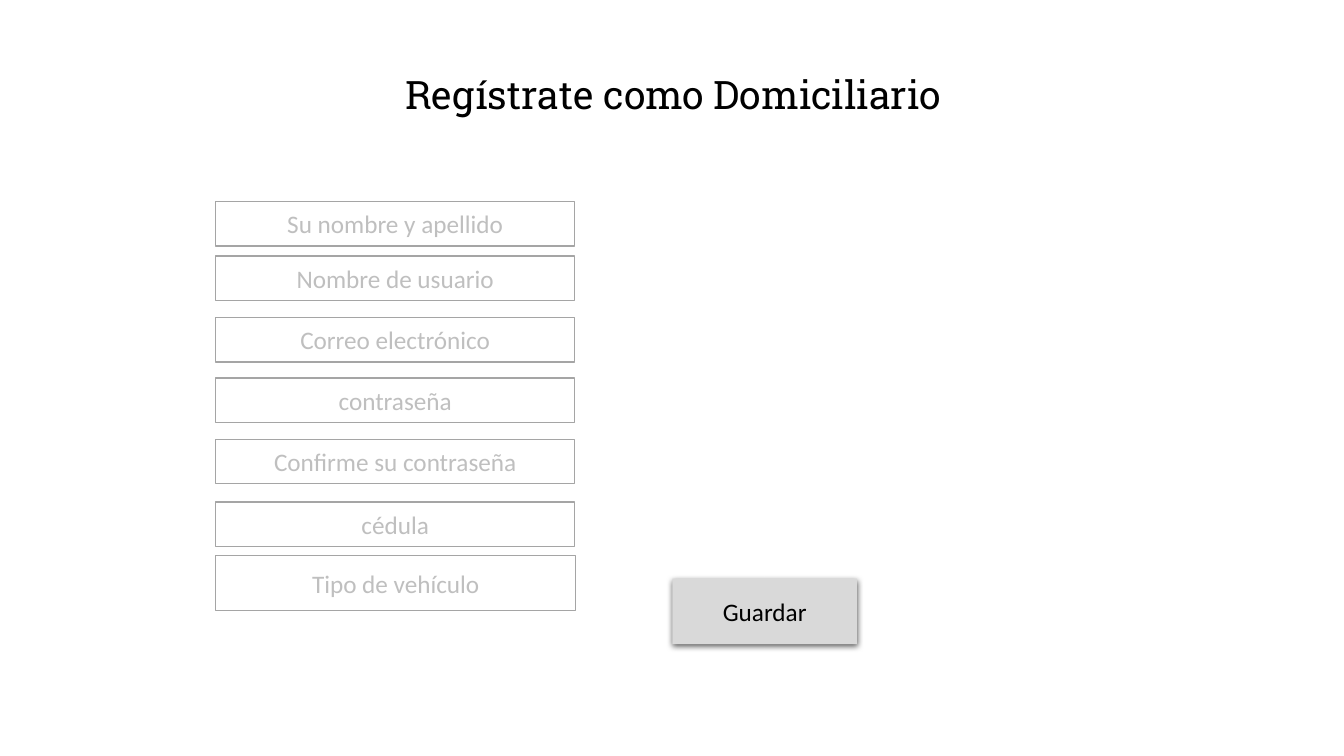
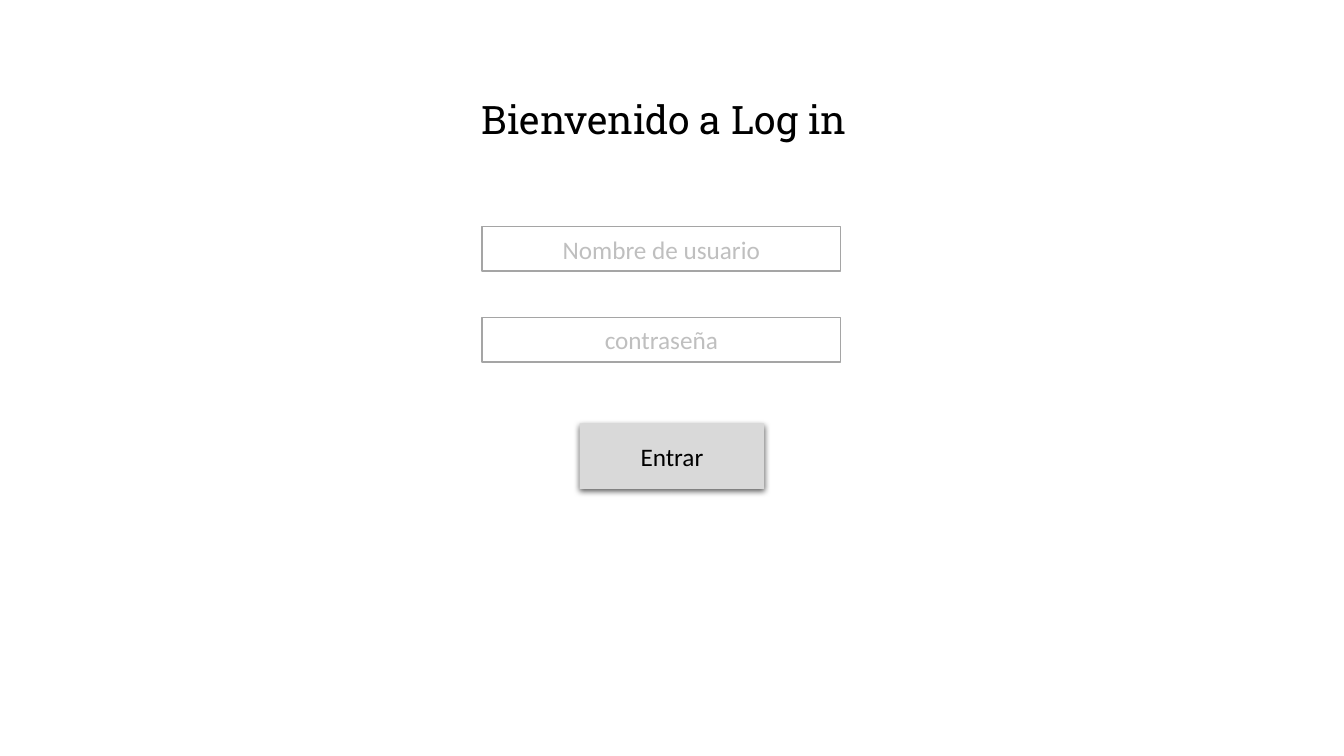
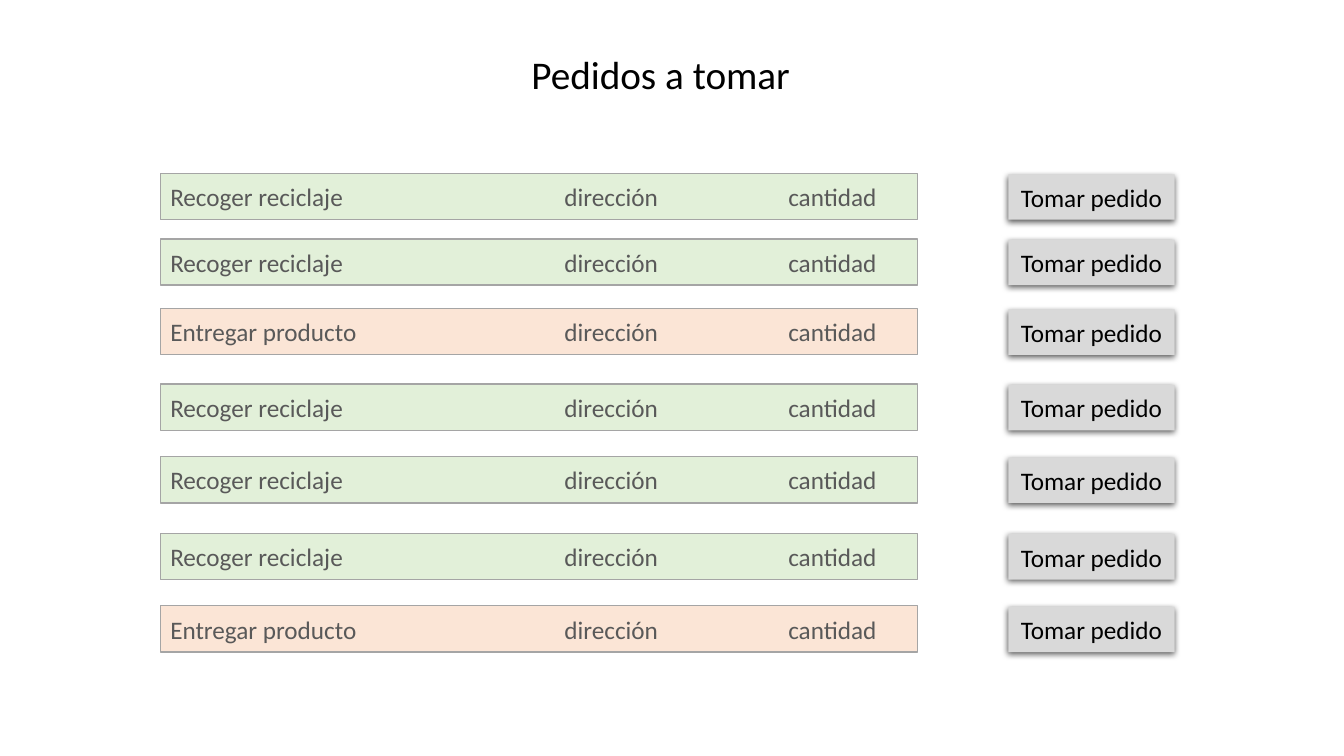
from lxml.etree import SubElement
from pptx import Presentation
from pptx.dml.color import RGBColor
from pptx.enum.shapes import MSO_SHAPE
from pptx.enum.text import MSO_ANCHOR, PP_ALIGN
from pptx.oxml.ns import qn
from pptx.util import Inches, Pt

COLORS = {
    "black": "000000",
    "white": "FFFFFF",
    "border": "A5A5A5",
    "hint": "BFBFBF",
    "button": "D9D9D9",
    "order_text": "595959",
    "pickup": "E2F0D9",
    "delivery": "FBE5D6",
}
BODY_FONT = "Calibri"
TITLE_FONT = "Roboto Slab"
FIELD_SIZE = (3.56, 0.44)
BUTTON_SIZE = (1.83, 0.65)

presentation = Presentation()
presentation.slide_width = Inches(13.33)
presentation.slide_height = Inches(7.5)


def add_titled_slide(title, left, top, width, font_name=TITLE_FONT):
    slide = presentation.slides.add_slide(presentation.slide_layouts[5])
    shape = slide.shapes.title
    shape.left, shape.top = Inches(left), Inches(top)
    shape.width, shape.height = Inches(width), Inches(0.57)
    shape.text_frame.vertical_anchor = MSO_ANCHOR.TOP
    paragraph = shape.text_frame.paragraphs[0]
    paragraph.alignment = PP_ALIGN.LEFT
    run = paragraph.add_run()
    run.text = title
    run.font.name = font_name
    run.font.size = Pt(28)
    run.font.color.rgb = RGBColor.from_string(COLORS["black"])
    return slide


def add_box(slide, text, left, top, size, fill="white", color="hint",
            alignment=PP_ALIGN.CENTER):
    """Add a bordered rectangle, or a shadowed one when the fill is "button"."""
    width, height = size
    shape = slide.shapes.add_shape(MSO_SHAPE.RECTANGLE, Inches(left), Inches(top),
                                   Inches(width), Inches(height))
    shape.fill.solid()
    shape.fill.fore_color.rgb = RGBColor.from_string(COLORS[fill])
    shape.shadow.inherit = False
    if fill == "button":
        shape.line.fill.background()
        effects = shape.element.spPr.find(qn("a:effectLst"))
        shadow = SubElement(effects, qn("a:outerShdw"), blurRad=str(Pt(4.5)),
                            dist=str(Pt(1.5)), dir="5400000", algn="ctr",
                            rotWithShape="0")
        shadow_color = SubElement(shadow, qn("a:srgbClr"), val=COLORS["black"])
        SubElement(shadow_color, qn("a:alpha"), val="63000")
    else:
        shape.line.color.rgb = RGBColor.from_string(COLORS["border"])
        shape.line.width = Pt(1)
    paragraph = shape.text_frame.paragraphs[0]
    paragraph.alignment = alignment
    run = paragraph.add_run()
    run.text = text
    run.font.name = BODY_FONT
    run.font.size = Pt(18)
    run.font.color.rgb = RGBColor.from_string(COLORS[color])
    return shape


# Registration form
slide = add_titled_slide("Regístrate como Domiciliario", 3.92, 0.65, 5.79)
registration_fields = [
    ("Su nombre y apellido", 2),
    ("Nombre de usuario", 2.54),
    ("Correo electrónico", 3.15),
    ("contraseña", 3.75),
    ("Confirme su contraseña", 4.36),
    ("cédula", 4.98),
]
for label, top in registration_fields:
    add_box(slide, label, 2.14, top, FIELD_SIZE)
add_box(slide, "Tipo de vehículo", 2.14, 5.51, (3.57, 0.55))
add_box(slide, "Guardar", 6.67, 5.74, BUTTON_SIZE, "button", "black")

# Log in form
slide = add_titled_slide("Bienvenido a Log in", 4.68, 0.9, 3.98)
for label, top in [("Nombre de usuario", 2.25), ("contraseña", 3.15)]:
    add_box(slide, label, 4.78, top, FIELD_SIZE)
add_box(slide, "Entrar", 5.75, 4.2, BUTTON_SIZE, "button", "black")

# Order list: tab stops line up the address and quantity columns
slide = add_titled_slide("Pedidos a tomar", 5.17, 0.45, 3, BODY_FONT)
order_names = {"pickup": "Recoger reciclaje", "delivery": "Entregar producto"}
orders = [
    ("pickup", 1.72),
    ("pickup", 2.37),
    ("delivery", 3.06),
    ("pickup", 3.81),
    ("pickup", 4.53),
    ("pickup", 5.29),
    ("delivery", 6.01),
]
for kind, top in orders:
    columns = [order_names[kind], "dirección", "cantidad"]
    row = add_box(slide, "\t".join(columns), 1.59, top, (7.51, 0.46), kind,
                  "order_text", PP_ALIGN.LEFT)
    properties = row.text_frame.paragraphs[0]._p.get_or_add_pPr()
    tab_stops = SubElement(properties, qn("a:tabLst"))
    for position in (3.91, 6.13):
        SubElement(tab_stops, qn("a:tab"), pos=str(Inches(position)), algn="l")
    add_box(slide, "Tomar pedido", 10, top + 0.01, (1.65, 0.45), "button", "black")

presentation.save("out.pptx")
